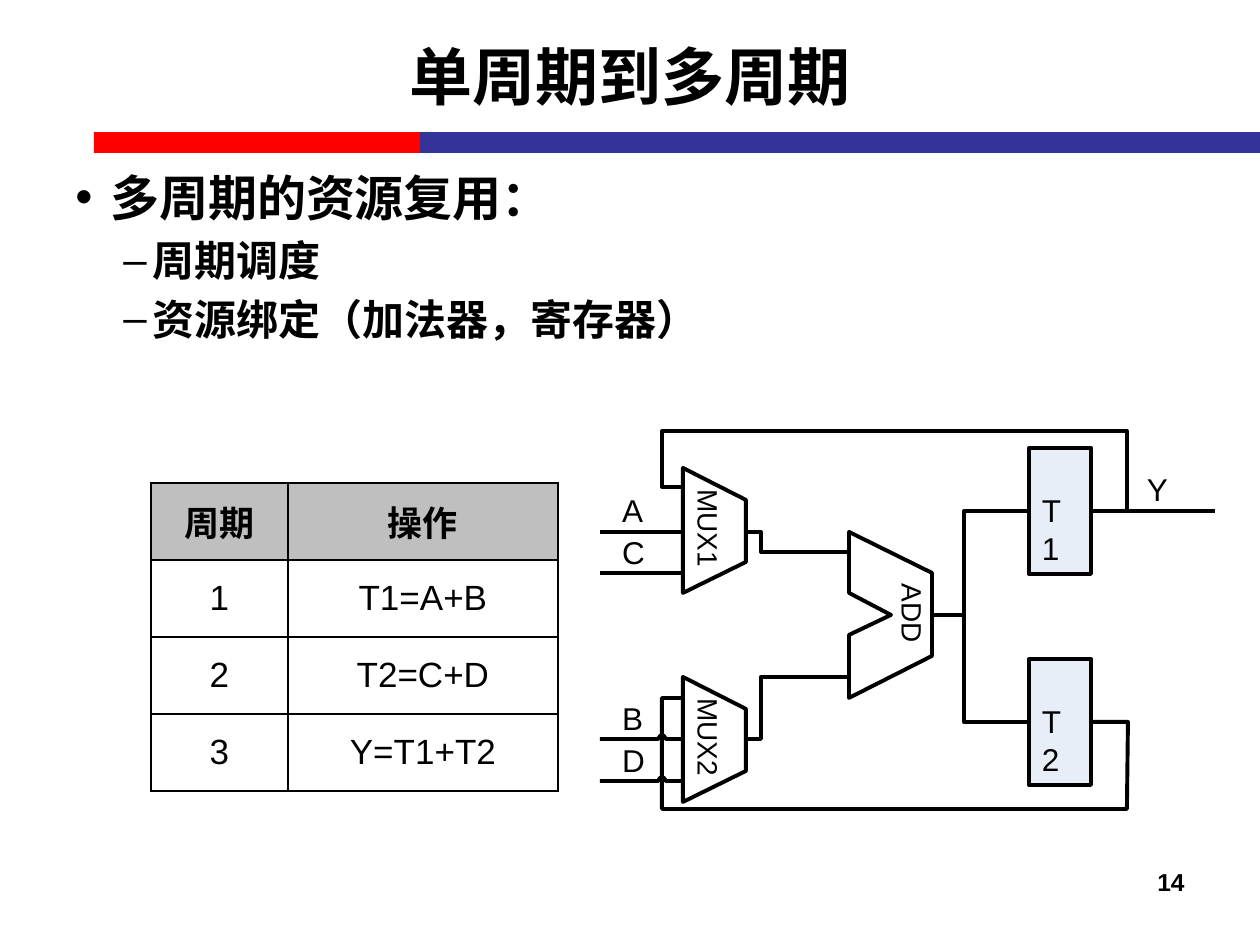
from lxml import etree
from pptx import Presentation
from pptx.dml.color import RGBColor
from pptx.enum.shapes import MSO_CONNECTOR, MSO_SHAPE
from pptx.enum.text import MSO_ANCHOR, PP_ALIGN
from pptx.oxml.ns import qn
from pptx.util import Emu, Pt

STRAIGHT = MSO_CONNECTOR.STRAIGHT
RECT = MSO_SHAPE.RECTANGLE
MIDDLE = MSO_ANCHOR.MIDDLE
LEFT, CENTER, RIGHT = PP_ALIGN.LEFT, PP_ALIGN.CENTER, PP_ALIGN.RIGHT
LEFT_SIDE, RIGHT_SIDE = 1, 3

SCALE = 914400 / 126
BLACK, WHITE = "000000", "FFFFFF"
RED, BLUE = "FF0000", "333399"
HEADER_GRAY, REGISTER_BLUE = "BFBFBF", "E8EEF7"
WIRE_WIDTH = Pt(2.25)

SIGNAL_LABELS = {"A": (622, 491), "C": (622, 533), "B": (622, 699),
                 "D": (622, 741), "Y": (1147, 470)}
CYCLES = [("周期", "操作"), ("1", "T1=A+B"), ("2", "T2=C+D"), ("3", "Y=T1+T2")]
OUTLINE = [  # level, bullet, text, size, left margin, hanging indent
    (0, "•", "多周期的资源复用：", 28, 35, 35),
    (1, "–", "周期调度", 24, 77, 29),
    (1, "–", "资源绑定（加法器，寄存器）", 24, 77, 29),
]
HOP = [(4, 0), (2, -3), (0, -4), (-2, -3), (-4, 0)]


def px(length):
    return Emu(round(length * SCALE))


def color(value):
    return RGBColor.from_string(value)


def assign(target, values):
    for name, value in values.items():
        setattr(target, name, value)


def write(paragraph, text, size, bold=False, align=LEFT):
    paragraph.text = text
    paragraph.alignment = align
    assign(paragraph.font, {"name": "Arial", "size": Pt(size), "bold": bold})
    paragraph.font.color.rgb = color(BLACK)


def paint(shape, fill=None, line=BLACK):
    shape.shadow.inherit = False
    if fill:
        shape.fill.solid()
        shape.fill.fore_color.rgb = color(fill)
    else:
        shape.fill.background()
    if line:
        shape.line.color.rgb = color(line)
        shape.line.width = WIRE_WIDTH
    else:
        shape.line.fill.background()


def add_box(slide, left, top, width, height, fill, line=BLACK):
    box = slide.shapes.add_shape(RECT, *map(px, (left, top, width, height)))
    paint(box, fill, line)
    return box


def add_text(slide, left, top, width, height, text, size, bold=False,
             align=LEFT, **frame_values):
    box = slide.shapes.add_textbox(*map(px, (left, top, width, height)))
    assign(box.text_frame, {"word_wrap": True, **frame_values})
    write(box.text_frame.paragraphs[0], text, size, bold, align)
    return box


def add_label(slide, left, top, width, height, text, size, wrap=False):
    return add_text(slide, left, top, width, height, text, size,
                    word_wrap=wrap, margin_left=0, margin_right=0,
                    margin_top=0, margin_bottom=0)


def add_path(slide, points, fill=None):
    builder = slide.shapes.build_freeform(*points[0], scale=SCALE)
    builder.add_line_segments(points[1:], close=fill is not None)
    paint(builder.convert_to_shape(), fill)


def add_wire(slide, start, end):
    wire = slide.shapes.add_connector(STRAIGHT, *map(px, start + end))
    wire.line.color.rgb = color(BLACK)
    wire.line.width = WIRE_WIDTH
    etree.SubElement(wire._element.spPr, qn("a:effectLst"))
    return wire


def add_outline(slide):
    box = slide.shapes.add_textbox(*map(px, (63, 161, 1134, 624)))
    frame = box.text_frame
    frame.word_wrap = True
    for index, (level, bullet, text, size, margin, hang) in enumerate(OUTLINE):
        paragraph = frame.add_paragraph() if index else frame.paragraphs[0]
        properties = paragraph._p.get_or_add_pPr()
        properties.set("marL", str(px(margin)))
        properties.set("indent", str(-px(hang)))
        etree.SubElement(properties, qn("a:buFont"), typeface="Arial")
        etree.SubElement(properties, qn("a:buChar"), char=bullet)
        paragraph.level = level
        if index:
            paragraph.space_before = Pt(size * 0.2)
        write(paragraph, text, size, bold=True)


def add_borders(cell):
    properties = cell._tc.get_or_add_tcPr()
    for side in ("lnL", "lnR", "lnT", "lnB"):
        border = etree.SubElement(properties, qn(f"a:{side}"), w=str(Pt(1)))
        fill = etree.SubElement(border, qn("a:solidFill"))
        etree.SubElement(fill, qn("a:srgbClr"), val=BLACK)


def add_cycle_table(slide):
    widths, row_height = (137, 270), 77
    area = (151, 483, sum(widths), row_height * len(CYCLES))
    table = slide.shapes.add_table(len(CYCLES), len(widths), *map(px, area)).table
    assign(table, {"first_row": False, "horz_banding": False})
    for column, width in zip(table.columns, widths):
        column.width = px(width)
    for row_index, texts in enumerate(CYCLES):
        header = row_index == 0
        table.rows[row_index].height = px(row_height)
        for column_index, text in enumerate(texts):
            cell = table.cell(row_index, column_index)
            add_borders(cell)
            cell.fill.solid()
            cell.fill.fore_color.rgb = color(HEADER_GRAY if header else WHITE)
            cell.vertical_anchor = MIDDLE
            write(cell.text_frame.paragraphs[0], text, 20, header, CENTER)


def add_mux(slide, top, name):
    add_path(slide, [(683, top), (746, top + 32), (746, top + 94),
                     (683, top + 125)], WHITE)
    add_label(slide, 667, top + 45, 82, 35, name, 16).rotation = 90


def add_adder(slide):
    add_path(slide, [(849, 532), (932, 573), (932, 656), (849, 698),
                     (849, 635), (891, 615), (849, 593)], WHITE)
    add_label(slide, 881, 597, 62, 35, "ADD", 16).rotation = 90


def add_register(slide, top, name):
    register = add_box(slide, 1029, top, 62, 126, REGISTER_BLUE)
    add_label(slide, 1042, top + 43, 31, 31, name, 18, wrap=True)
    return register


def add_datapath(slide):
    add_adder(slide)
    t1 = add_register(slide, 448, "T1")
    add_register(slide, 659, "T2")
    add_mux(slide, 468, "MUX1")
    add_mux(slide, 677, "MUX2")

    # Inputs: A and C run straight, B and D hop over the feedback wire
    for y in (532, 573):
        add_wire(slide, (683, y), (600, y))
    for y in (739, 781):
        hop = [(662 + dx, y + dy) for dx, dy in HOP]
        add_path(slide, [(683, y), *hop, (600, y)])

    # Feedback from the registers to the multiplexers
    add_path(slide, [(683, 487), (662, 487), (662, 431), (1127, 431),
                     (1127, 511), (1120, 511)])
    add_path(slide, [(1091, 722), (1128, 722), (1127, 809), (662, 809),
                     (662, 698), (683, 698)])

    # Multiplexers to adder, adder to registers
    add_path(slide, [(746, 532), (761, 532), (761, 552), (849, 552)])
    add_path(slide, [(746, 739), (761, 739), (761, 677), (849, 677)])
    for y in (511, 722):
        add_path(slide, [(932, 615), (964, 615), (964, y), (1027, y)])

    # Output Y and signal names
    output = add_wire(slide, (1091, 511), (1215, 511))
    output.begin_connect(t1, RIGHT_SIDE)
    for name, (left, top) in SIGNAL_LABELS.items():
        add_label(slide, left, top, 22, 35, name, 18)


def main():
    deck = Presentation()
    assign(deck, {"slide_width": px(1260), "slide_height": px(945)})
    slide = deck.slides.add_slide(deck.slide_layouts[6])

    # Heading and rule
    add_box(slide, 94, 132, 326, 21, RED, line=None)
    add_box(slide, 420, 132, 840, 21, BLUE, line=None)
    add_text(slide, 63, 19, 1134, 113, "单周期到多周期", 36, True, CENTER,
             vertical_anchor=MIDDLE)

    # Content
    add_outline(slide)
    add_text(slide, 903, 861, 294, 66, "14", 14, True, RIGHT)
    add_cycle_table(slide)
    add_datapath(slide)
    deck.save("out.pptx")


if __name__ == "__main__":
    main()
